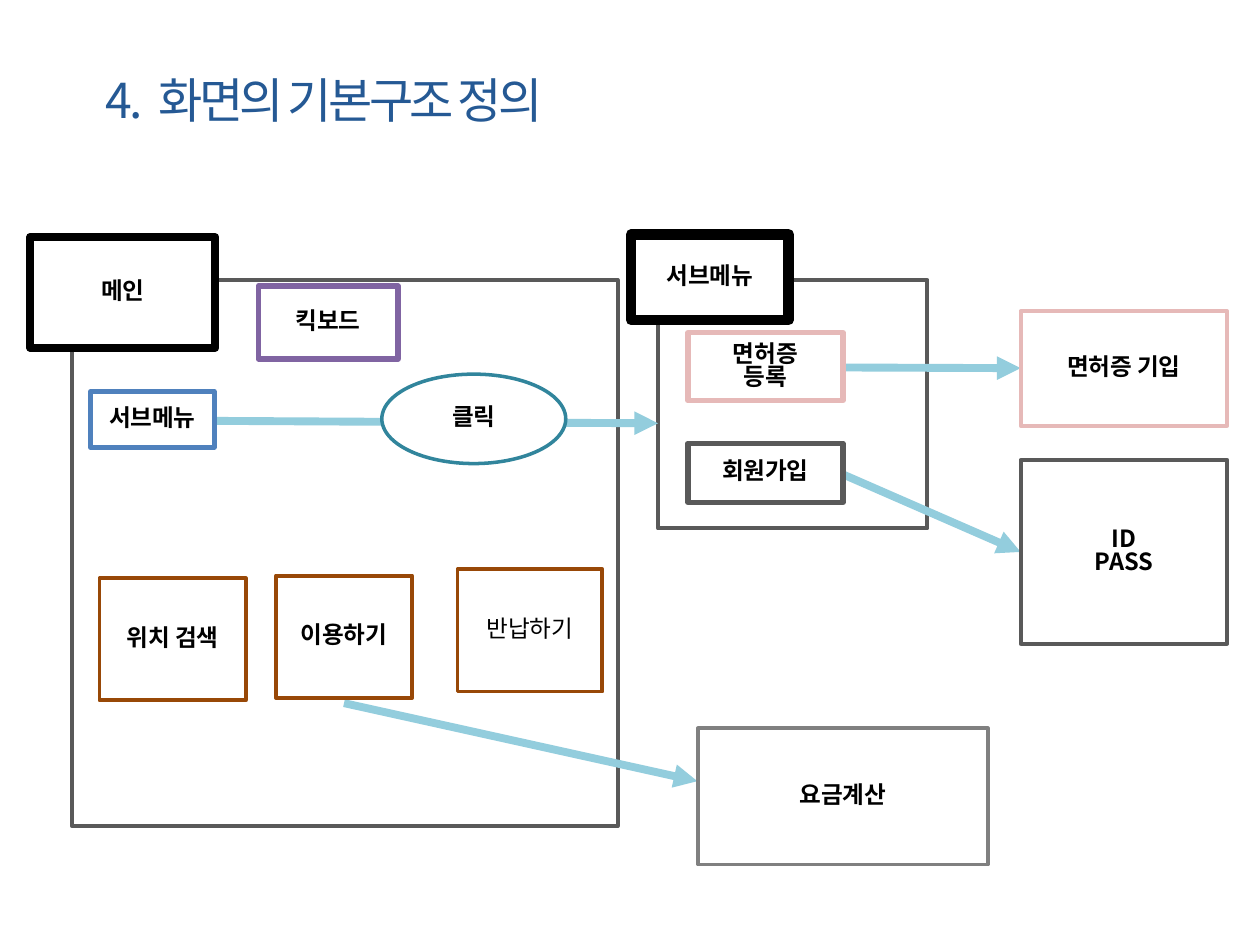
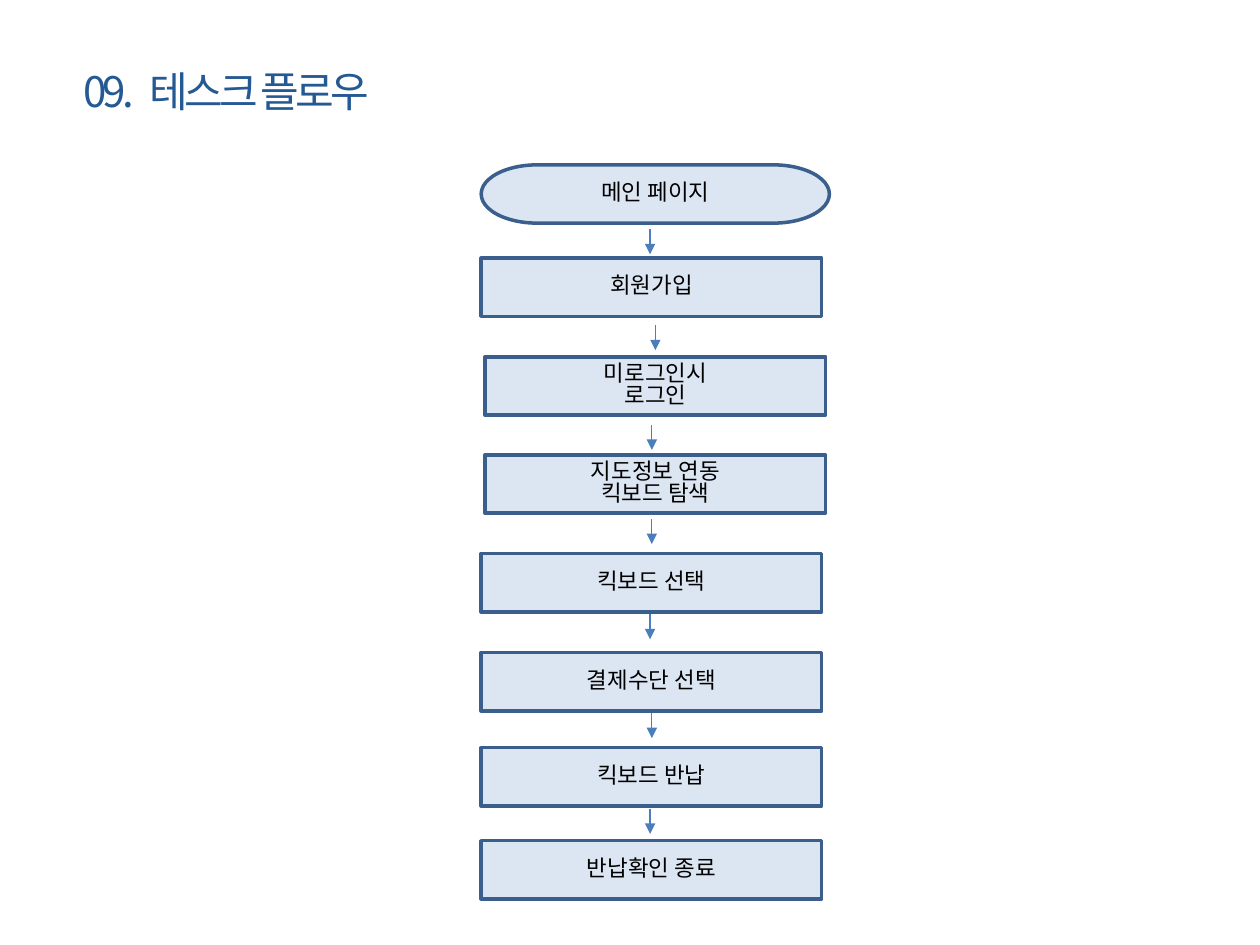
from lxml import etree
from pptx import Presentation
from pptx.dml.color import RGBColor
from pptx.enum.shapes import MSO_CONNECTOR, MSO_SHAPE
from pptx.enum.text import MSO_ANCHOR, MSO_AUTO_SIZE, PP_ALIGN
from pptx.oxml.ns import qn
from pptx.util import Pt

RECT, ELLIPSE = MSO_SHAPE.RECTANGLE, MSO_SHAPE.OVAL
TERMINATOR = MSO_SHAPE.FLOWCHART_TERMINATOR
STRAIGHT = MSO_CONNECTOR.STRAIGHT
MIDDLE, NO_AUTOFIT = MSO_ANCHOR.MIDDLE, MSO_AUTO_SIZE.NONE
LEFT, CENTER = PP_ALIGN.LEFT, PP_ALIGN.CENTER

FONT = "Noto Sans CJK KR"
WHITE = RGBColor(0xFF, 0xFF, 0xFF)
BLACK = RGBColor(0, 0, 0)
TITLE_BLUE = RGBColor(0x25, 0x59, 0x94)
DARK_GRAY = RGBColor(0x59, 0x59, 0x59)
GRAY = RGBColor(0x80, 0x80, 0x80)
PURPLE = RGBColor(0x80, 0x64, 0xA2)
PINK = RGBColor(0xE6, 0xB9, 0xB8)
SKY = RGBColor(0x93, 0xCD, 0xDD)
TEAL = RGBColor(0x31, 0x85, 0x9C)
BROWN = RGBColor(0x98, 0x48, 0x07)
BLUE = RGBColor(0x4F, 0x81, 0xBD)
STEP_FILL = RGBColor(0xDC, 0xE6, 0xF2)
STEP_LINE = RGBColor(0x3A, 0x5F, 0x8C)
STEP_ARROW = RGBColor(0x4B, 0x7E, 0xBC)


def add_run(p, text, size, color, bold=False, spacing=None):
    """Add a run; spacing is the letter spacing in points."""
    r = p.add_run()
    r.text = text
    r.font.size = Pt(size)
    r.font.bold = bold
    r.font.color.rgb = color
    r.font.name = FONT
    rPr = r._r.get_or_add_rPr()
    etree.SubElement(rPr, qn("a:ea")).set("typeface", FONT)
    if spacing is not None:
        rPr.set("spc", str(int(spacing * 100)))


def add_titled_slide(prs, number, text, box, size):
    s = prs.slides.add_slide(prs.slide_layouts[5])
    title = s.shapes.title
    title.left, title.top, title.width, title.height = map(Pt, box)
    tf = title.text_frame
    tf.auto_size = NO_AUTOFIT
    tf.vertical_anchor = MIDDLE
    p = tf.paragraphs[0]
    p.alignment = LEFT
    for part, spacing in ((number, -2), (" ", 3), (text, -2)):
        add_run(p, part, size, TITLE_BLUE, spacing=spacing)
    return s


def add_box(s, lines, box, line_color, line_width=2.25, fill=WHITE,
            kind=RECT, size=13.5, bold=True):
    sp = s.shapes.add_shape(kind, *map(Pt, box))
    sp.shadow.inherit = False
    sp.fill.solid()
    sp.fill.fore_color.rgb = fill
    sp.line.color.rgb = line_color
    sp.line.width = Pt(line_width)
    tf = sp.text_frame
    tf.word_wrap = True
    tf.vertical_anchor = MIDDLE
    tf.margin_top = tf.margin_bottom = 0
    for i, text in enumerate(lines):
        p = tf.add_paragraph() if i else tf.paragraphs[0]
        p.alignment = CENTER
        p.line_spacing = 0.82
        add_run(p, text, size, BLACK, bold)


def add_arrow(s, x1, y1, x2, y2, color, width):
    c = s.shapes.add_connector(STRAIGHT, Pt(x1), Pt(y1), Pt(x2), Pt(y2))
    c.line.color.rgb = color
    c.line.width = Pt(width)
    ln = c.line._get_or_add_ln()
    etree.SubElement(ln, qn("a:tailEnd")).set("type", "triangle")
    etree.SubElement(c._element.spPr, qn("a:effectLst"))


def build_screen_structure(prs):
    s = add_titled_slide(prs, "4.", "화면의 기본구조 정의", (53.3, 36.7, 578, 40.3), 27.5)

    main_panel, sub_panel = (41, 160, 312, 312), (376, 160, 154, 142)
    for panel in (main_panel, sub_panel):
        add_box(s, [], panel, DARK_GRAY)

    for arrow in ((121.7, 240.5, 376, 241.9),
                  (196.6, 401.8, 398.5, 446.4),
                  (481.7, 210, 583.2, 210.4),
                  (482.4, 271.4, 583.2, 315.4)):
        add_arrow(s, *arrow, SKY, 4.5)

    for lines, box, color, width in (
        (["킥보드"], (147.6, 163.4, 79.8, 41.8), PURPLE, 3),
        (["메인"], (17.3, 135.4, 105.8, 63.4), BLACK, 4.5),
        (["면허증 기입"], (583.2, 177.8, 118, 65.5), PINK, 2.25),
        (["ID", "PASS"], (583.2, 262.8, 118, 105), DARK_GRAY, 2.25),
        (["위치 검색"], (56.9, 330.5, 83.5, 69.8), BROWN, 2.25),
        (["이용하기"], (157.7, 329, 77.8, 69.8), BROWN, 2.25),
        (["요금계산"], (398.9, 416.2, 165.6, 77.8), GRAY, 2.25),
        (["서브메뉴"], (360.7, 133.9, 90, 49), BLACK, 6),
        (["면허증", "등록"], (393.1, 190.1, 88.6, 38.9), PINK, 3),
        (["회원가입"], (393.1, 253.4, 88.6, 33.8), DARK_GRAY, 3),
        (["서브메뉴"], (51.8, 223.9, 70.6, 31.7), BLUE, 3),
    ):
        add_box(s, lines, box, color, width)
    add_box(s, ["반납하기"], (261.4, 325.4, 82.8, 69.8), BROWN, bold=False)
    add_box(s, ["클릭"], (218.2, 213.8, 105.1, 51.1), TEAL, 2, kind=ELLIPSE)


def build_task_flow(prs):
    s = add_titled_slide(prs, "09.", "테스크 플로우", (40.3, 33.8, 597.6, 36), 24)

    step_w, step_h, arrow_h = 194.6, 33.3, 14.3
    style = {"line_color": STEP_LINE, "line_width": 2, "fill": STEP_FILL,
             "size": 12.8, "bold": False}
    add_box(s, ["메인 페이지"], (275, 94.2, 199, step_h), kind=TERMINATOR, **style)
    for lines, x, y in (
        (["회원가입"], 275, 147.5),
        (["미로그인시", "로그인"], 277.2, 203.9),
        (["지도정보 연동", "킥보드 탐색"], 277.2, 259.9),
        (["킥보드 선택"], 275, 316.3),
        (["결제수단 선택"], 275, 372.9),
        (["킥보드 반납"], 275, 427.2),
        (["반납확인 종료"], 275, 480.4),
    ):
        add_box(s, lines, (x, y, step_w, step_h), **style)
    for x, y in ((371.5, 131), (374.5, 185.8), (372.5, 242.8), (372.5, 296.6),
                 (371.5, 351), (372.5, 407.5), (371.5, 462.2)):
        add_arrow(s, x, y, x, y + arrow_h, STEP_ARROW, 0.75)


def main():
    prs = Presentation()
    prs.slide_width, prs.slide_height = Pt(720), Pt(540)
    build_screen_structure(prs)
    build_task_flow(prs)
    prs.save("out.pptx")


if __name__ == "__main__":
    main()
